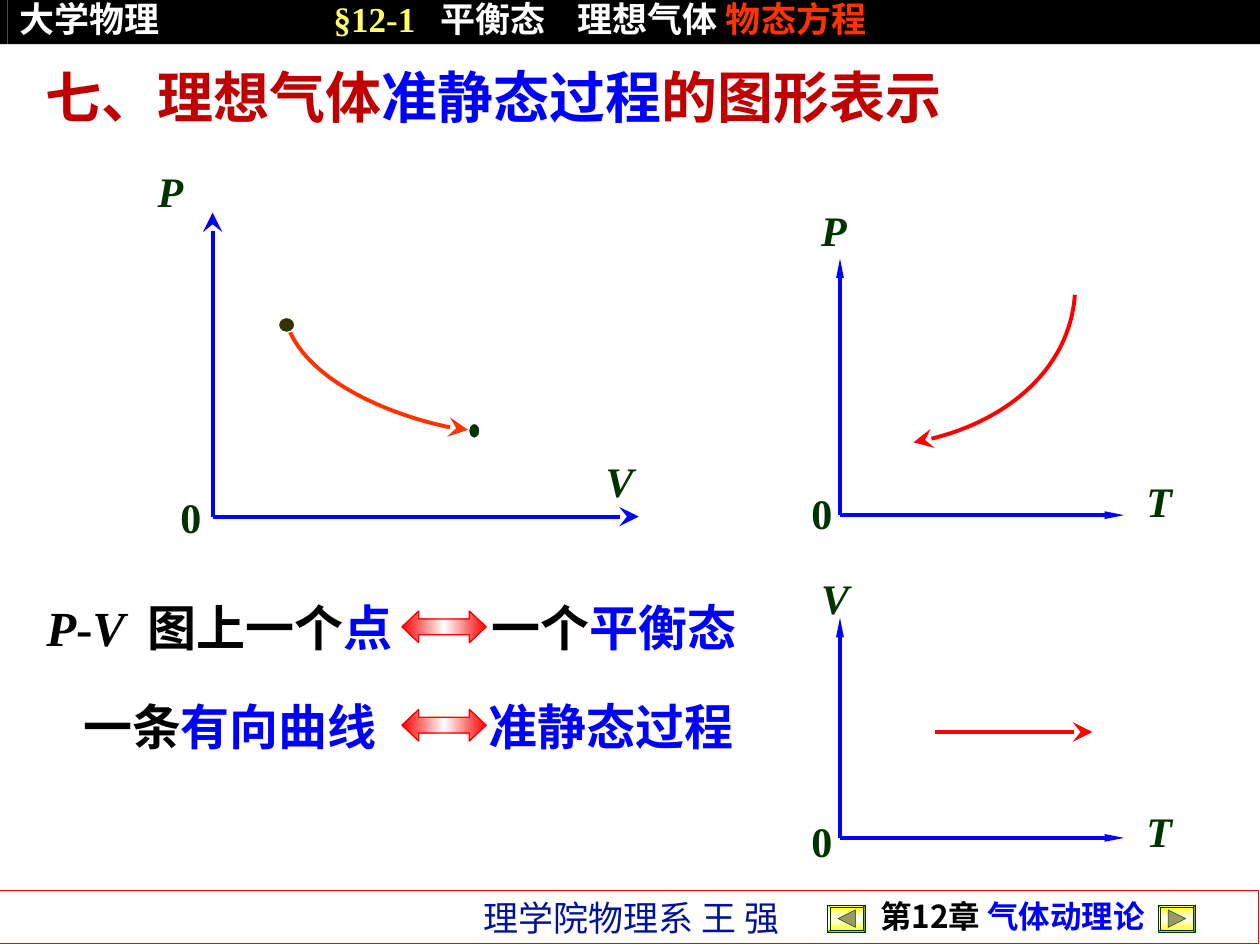
from lxml import etree
from pptx import Presentation
from pptx import util as u
from pptx.dml.color import RGBColor
from pptx.enum import shapes, text
from pptx.oxml import parse_xml
from pptx.oxml.ns import qn

Pt = u.Pt
MSO = shapes.MSO_SHAPE
NS = 'xmlns:a="http://schemas.openxmlformats.org/drawingml/2006/main"'
CJK, ROMAN = "Noto Sans CJK SC", "Times New Roman"
HUE = {"black": "000000", "white": "FFFFFF", "lemon": "FFFF66", "yellow": "FFFF00",
       "orange": "FF3300", "red": "FF0000", "dark red": "C00000", "blue": "0000FF",
       "navy": "00129A", "green": "003300", "olive": "333300", "grey": "999966"}

HEADER = [("大学物理\t", "white"), ("§12-1\t", "lemon"),
          ("平衡态\t理想气体 ", "white"), ("物态方程", "orange")]
CHAPTER = [("第12章", "black"), (" 气体动理论", "blue")]
AUTHOR = [("理学院物理系 王 强", "navy")]
TITLE = [("七、理想气体", "dark red"), ("准静态过程", "blue"), ("的图形表示", "dark red")]
POINT = [("P", "black", True), ("-", "black"), ("V\t", "black", True),
         ("图上一个", "black"), ("点\t", "blue"), ("一个", "black"), ("平衡态", "blue")]
CURVE = [("一条", "black"), ("有向曲线\t准静态过程", "blue")]

GRAPHS = [
    {"zero": (121.5, 295.2), "end": (365, 121.5), "head": ("stealth", "lg"),
     "marks": [("P", 83, 108.7), ("0", 96, 295.2), ("V", 339, 275)]},
    {"zero": (480, 294.4), "end": (642.4, 147.8), "head": ("triangle", "sm"),
     "marks": [("P", 462.2, 131.3), ("0", 456.5, 293), ("T", 648, 286)]},
    {"zero": (480, 478.8), "end": (642.4, 353), "head": ("triangle", "sm"),
     "marks": [("V", 462.2, 341.5), ("0", 456.5, 480.4), ("T", 648, 474.7)]},
]
BENDS = [("orange", [(267.4, 245.6), (242, 244.1), (174, 218.9), (163.4, 183.6)]),
         ("red", [(522, 252.8), (571.2, 244.8), (611.2, 210.2), (614.2, 168.5)])]
DOTS = [(159.1, 181.4, 9.4, 8.6, "olive"), (267.8, 241.9, 6.5, 8.6, "green")]
SWAPS = [349.2, 405.4]
BUTTONS = [(473, 1), (661.7, -1)]

deck = Presentation()
deck.slide_width, deck.slide_height = Pt(720), Pt(540)
slide = deck.slides.add_slide(deck.slide_layouts[6])
art = slide.shapes


def rgb(hue):
    return RGBColor.from_string(HUE[hue])


def shape(kind, box, fill=None, line=None, wide=0.75):
    item = art.add_shape(kind, *map(Pt, box))
    paint(item, fill, line, wide)
    return item


def paint(item, fill, line, wide):
    item.shadow.inherit = False
    if fill:
        item.fill.solid()
        item.fill.fore_color.rgb = rgb(fill)
    else:
        item.fill.background()
    if line:
        item.line.color.rgb = rgb(line)
        item.line.width = Pt(wide)
    else:
        item.line.fill.background()


def blend(item, hue, angle):
    stops = "".join(f'<a:gs pos="{at}000"><a:srgbClr val="{HUE[c]}"/></a:gs>'
                    for at, c in ((0, hue), (50, "white"), (100, hue)))
    grad = parse_xml(f'<a:gradFill {NS} rotWithShape="1"><a:gsLst>{stops}</a:gsLst>'
                     f'<a:lin ang="{angle * 60000}" scaled="0"/></a:gradFill>')
    props = item.element.spPr
    props.replace(props.find(qn("a:noFill")), grad)


def write(item, runs, size, font=ROMAN, bold=True, tabs=(), space=None,
          align=text.PP_ALIGN.LEFT, wrap=True):
    frame = item.text_frame
    frame.word_wrap = wrap
    frame.vertical_anchor = text.MSO_ANCHOR.MIDDLE
    para = frame.paragraphs[0]
    if tabs:
        stops = "".join(f'<a:tab pos="{Pt(t)}" algn="l"/>' for t in tabs)
        para._p.get_or_add_pPr().append(parse_xml(f"<a:tabLst {NS}>{stops}</a:tabLst>"))
    para.alignment = align
    if space:
        para.line_spacing = space
    for words, hue, *slant in runs:
        run = para.add_run()
        run.text = words
        face = run.font
        face.size, face.bold, face.italic = Pt(size), bold, bool(slant)
        face.color.rgb = rgb(hue)
        face.name = ROMAN if "§" in words else font
        etree.SubElement(run._r.get_or_add_rPr(), qn("a:ea"), typeface=CJK)


def label(box, runs, size, **style):
    write(art.add_textbox(*map(Pt, box)), runs, size, **style)


def tip(item, end, kind, width):
    etree.SubElement(item.line._get_or_add_ln(), qn("a:" + end),
                     type=kind, w=width, len="lg")


def arrow(start, stop, hue, kind, width):
    item = art.add_connector(shapes.MSO_CONNECTOR.STRAIGHT, *map(Pt, (*start, *stop)))
    item.line.color.rgb = rgb(hue)
    item.line.width = Pt(2.25)
    tip(item, "tailEnd", kind, width)
    etree.SubElement(item.element.spPr, qn("a:effectLst"))


def outline(spots, close):
    first, *rest = [(Pt(x), Pt(y)) for x, y in spots]
    pen = art.build_freeform(*first)
    pen.add_line_segments(rest, close=close)
    return pen.convert_to_shape()


def bend(hue, spots):
    item = outline(spots, False)
    paint(item, None, hue, 2.25)
    legs = list(item.element.iter(qn("a:lnTo")))
    cubic = etree.SubElement(legs[0].getparent(), qn("a:cubicBezTo"))
    for leg in legs:
        cubic.append(leg[0])
        leg.getparent().remove(leg)
    tip(item, "headEnd", "stealth", "lg")


write(shape(MSO.RECTANGLE, (4.2, 0, 715.8, 25.2), "black"), HEADER, 20, font=CJK,
      tabs=(179.4, 240.6, 318.9), space=0.8)
shape(MSO.RECTANGLE, (0, 0, 4.2, 25.2), "black")
label((467.3, 513.4, 222.5, 24.5), CHAPTER, 18, font=CJK, space=0.8,
      align=text.PP_ALIGN.CENTER)
label((269.3, 508.3, 194.4, 31.7), AUTHOR, 20, font=CJK, bold=False, wrap=False)
shape(MSO.RECTANGLE, (-0.7, 509, 720, 30.2), line="red")

for left, way in BUTTONS:
    key = shape(MSO.BEVEL, (left, 517, 21.6, 15.8), line="green", wide=0.25)
    key.adjustments[0] = 0.08
    blend(key, "yellow", 90)
    mid = left + 10.8
    mark = outline([(mid - 5 * way, 524.9), (mid + 5 * way, 519.9),
                    (mid + 5 * way, 529.9)], True)
    paint(mark, "grey", "green", 0.25)

label((18.7, 31.7, 631.4, 46.1), TITLE, 32)

for graph in GRAPHS:
    zero, (right, top) = graph["zero"], graph["end"]
    arrow(zero, (right, zero[1]), "blue", *graph["head"])
    arrow(zero, (zero[0], top), "blue", *graph["head"])
    for sign, left, mid in graph["marks"]:
        slant = () if sign == "0" else (True,)
        label((left, mid - 18, 38, 36), [(sign, "green", *slant)], 24)

for hue, spots in BENDS:
    bend(hue, spots)
for *box, hue in DOTS:
    shape(MSO.OVAL, box, hue, "white")
arrow((534.2, 418.3), (624.2, 418.3), "red", "stealth", "lg")

label((19.4, 337.7, 473, 41), POINT, 28, tabs=(58, 254.5))
label((40.4, 394.6, 444, 41), CURVE, 28, tabs=(231.7,))
for top in SWAPS:
    swap = shape(MSO.LEFT_RIGHT_ARROW, (229.7, top, 48.2, 18), line="red")
    swap.adjustments[0], swap.adjustments[1] = 0.5, 0.535
    blend(swap, "red", 0)

deck.save("out.pptx")
